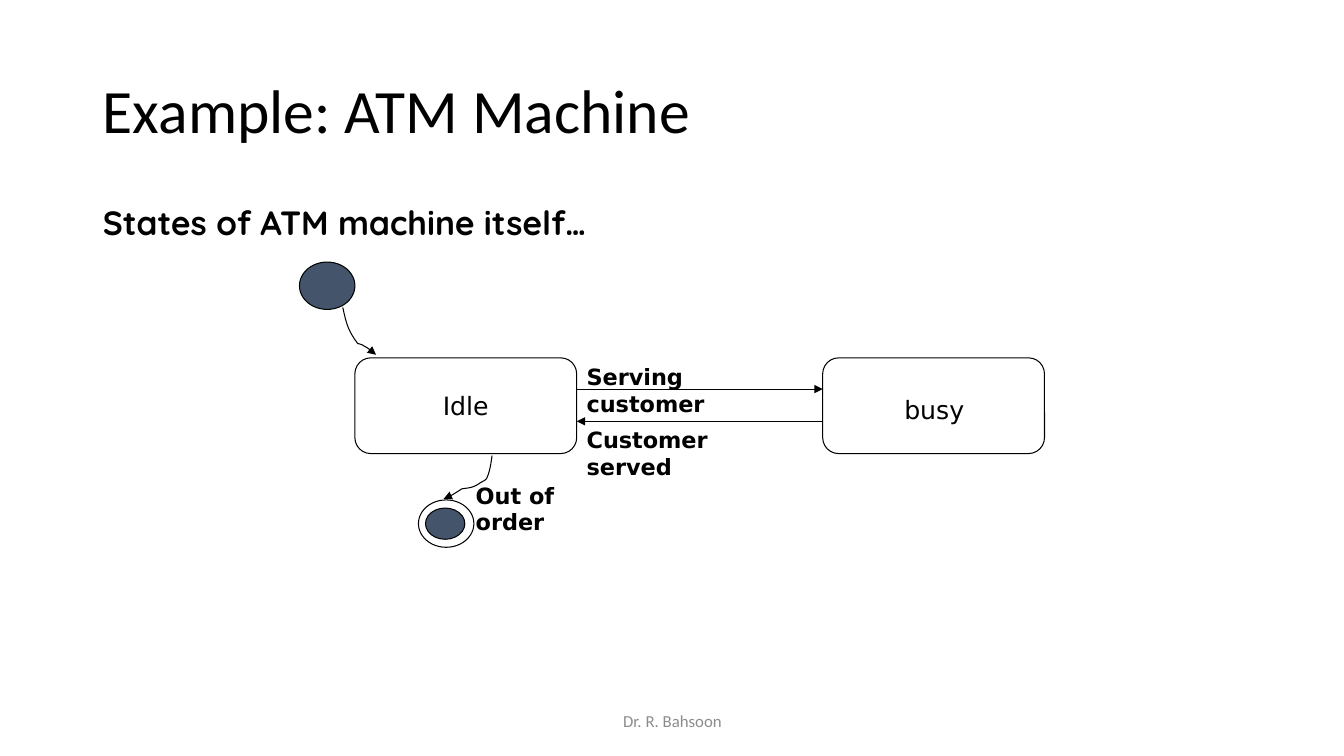
from lxml.etree import SubElement
from pptx import Presentation
from pptx.dml.color import RGBColor
from pptx.enum.shapes import MSO_CONNECTOR, MSO_SHAPE
from pptx.enum.text import MSO_ANCHOR, MSO_AUTO_SIZE, PP_ALIGN
from pptx.oxml.ns import qn
from pptx.util import Inches, Pt

COLORS = {"ink": "000000", "node": "44546A", "footer": "8C8C8C"}


def write_text(shape, text, size, font_name, color="ink", bold=False,
               align=PP_ALIGN.LEFT, anchor=MSO_ANCHOR.TOP, wrap=True):
    frame = shape.text_frame
    frame.text = text
    frame.word_wrap = wrap
    frame.auto_size = MSO_AUTO_SIZE.NONE
    frame.vertical_anchor = anchor
    paragraph = frame.paragraphs[0]
    paragraph.alignment = align
    font = paragraph.runs[0].font
    font.size = Pt(size)
    font.name = font_name
    font.bold = bold
    font.color.rgb = RGBColor.from_string(COLORS[color])
    return paragraph


def style_line(shape, arrow=False):
    shape.line.color.rgb = RGBColor.from_string(COLORS["ink"])
    shape.line.width = Pt(0.75)
    if arrow:
        SubElement(shape.line._get_or_add_ln(), qn("a:tailEnd"), type="triangle")


presentation = Presentation()
presentation.slide_width = Inches(13.33)
presentation.slide_height = Inches(7.5)
slide = presentation.slides.add_slide(presentation.slide_layouts[1])
shapes = slide.shapes

title, body = slide.placeholders[0], slide.placeholders[1]
for placeholder, top, height in [(title, 0.4, 1.45), (body, 2, 4.76)]:
    placeholder.left, placeholder.top = Inches(0.92), Inches(top)
    placeholder.width, placeholder.height = Inches(11.5), Inches(height)

paragraph = write_text(title, "Example: ATM Machine", 44, "Calibri", anchor=MSO_ANCHOR.MIDDLE)
paragraph.line_spacing = 0.9

paragraph = write_text(body, "States of ATM machine itself…", 24, "Quicksand", bold=True)
properties = paragraph._p.get_or_add_pPr()
properties.set("marL", str(Inches(0.25)))
properties.set("indent", str(Inches(-0.25)))
SubElement(properties, qn("a:buNone"))
paragraph.line_spacing = 0.9
paragraph.space_before = Pt(0)

footer = shapes.add_textbox(Inches(4.42), Inches(6.95), Inches(4.5), Inches(0.4))
write_text(footer, "Dr. R. Bahsoon", 12, "Calibri", "footer",
           align=PP_ALIGN.CENTER, anchor=MSO_ANCHOR.MIDDLE)

nodes = [
    (MSO_SHAPE.ROUNDED_RECTANGLE, 3.52, 3.55, 2.2, 0.95, None, "Idle"),
    (MSO_SHAPE.ROUNDED_RECTANGLE, 8.16, 3.55, 2.2, 0.95, None, None),
    (MSO_SHAPE.OVAL, 2.97, 2.6, 0.55, 0.47, "node", None),
    (MSO_SHAPE.OVAL, 4.22, 5.04, 0.39, 0.31, "node", None),
    (MSO_SHAPE.OVAL, 4.15, 4.96, 0.55, 0.47, None, None),
]
for kind, left, top, width, height, fill, text in nodes:
    node = shapes.add_shape(kind, Inches(left), Inches(top), Inches(width), Inches(height))
    node.shadow.inherit = False
    style_line(node)
    if fill:
        node.fill.solid()
        node.fill.fore_color.rgb = RGBColor.from_string(COLORS[fill])
    else:
        node.fill.background()
    if text:
        write_text(node, text, 18, "DejaVu Sans", align=PP_ALIGN.CENTER,
                   anchor=MSO_ANCHOR.MIDDLE, wrap=False)

for start, end, height in [(5.72, 8.16, 3.86), (8.16, 5.72, 4.18)]:
    arrow = shapes.add_connector(MSO_CONNECTOR.STRAIGHT, Inches(start), Inches(height),
                                 Inches(end), Inches(height))
    style_line(arrow, arrow=True)
    SubElement(arrow._element.spPr, qn("a:effectLst"))

curves = [
    [(3.4, 3.05), (3.43, 3.18), (3.44, 3.25), (3.52, 3.37), (3.53, 3.38), (3.54, 3.4),
     (3.55, 3.41), (3.57, 3.41), (3.58, 3.42), (3.59, 3.42), (3.62, 3.44), (3.65, 3.45),
     (3.68, 3.48), (3.72, 3.52), (3.7, 3.52), (3.73, 3.52)],
    [(4.88, 4.52), (4.87, 4.6), (4.86, 4.67), (4.83, 4.74), (4.82, 4.77), (4.77, 4.78),
     (4.75, 4.8), (4.69, 4.84), (4.65, 4.84), (4.58, 4.85), (4.55, 4.87), (4.43, 4.95),
     (4.4, 4.95)],
]
STEPS = 6
for controls in curves:
    points = []
    for first in range(0, len(controls) - 1, 3):
        segment = controls[first:first + 4]
        for step in range(1, STEPS + 1):
            t = step / STEPS
            weights = [(1 - t) ** 3, 3 * t * (1 - t) ** 2, 3 * t ** 2 * (1 - t), t ** 3]
            points.append(tuple(
                Inches(sum(weight * point[axis] for weight, point in zip(weights, segment)))
                for axis in (0, 1)))
    start_x, start_y = controls[0]
    builder = shapes.build_freeform(Inches(start_x), Inches(start_y))
    builder.add_line_segments(points, close=False)
    transition = builder.convert_to_shape()
    transition.shadow.inherit = False
    transition.fill.background()
    style_line(transition, arrow=True)

labels = [
    ("busy", 8.87, 3.86, 0.79, 0.4, 18, False),
    ("Serving customer", 5.72, 3.55, 2.2, 0.37, 16, True),
    ("Customer served", 5.72, 4.18, 2.1, 0.37, 16, True),
    ("Out of order", 4.62, 4.73, 1.55, 0.37, 16, True),
]
for text, left, top, width, height, size, bold in labels:
    label = shapes.add_textbox(Inches(left), Inches(top), Inches(width), Inches(height))
    write_text(label, text, size, "DejaVu Sans", bold=bold, wrap=bold)

presentation.save("out.pptx")
